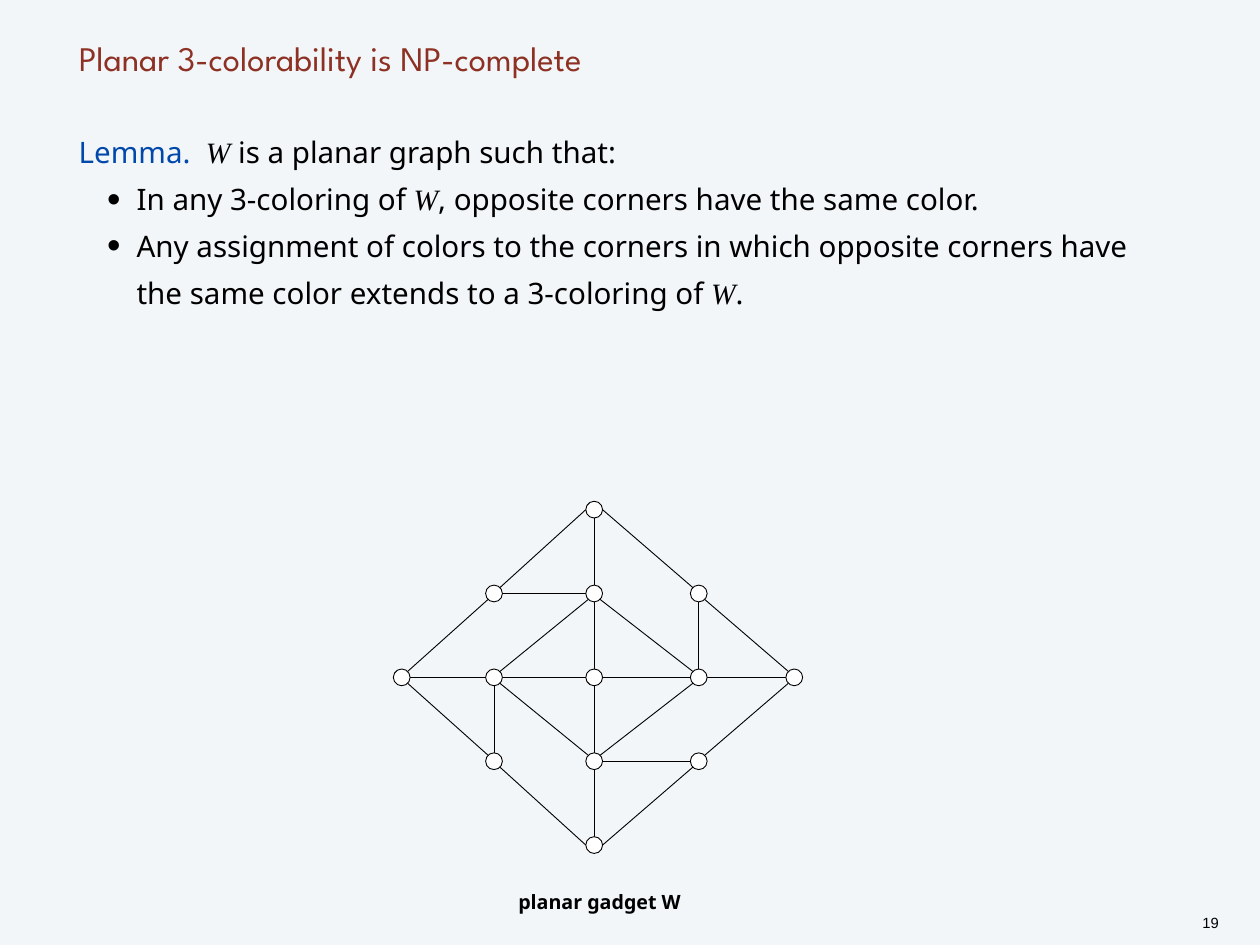
from math import sqrt

from lxml.etree import SubElement
from pptx import Presentation
from pptx.dml.color import RGBColor
from pptx.enum.shapes import MSO_CONNECTOR, MSO_SHAPE
from pptx.enum.text import MSO_ANCHOR, PP_ALIGN
from pptx.oxml.ns import qn
from pptx.util import Pt

COLORS = {
    "background": "F2F6F9",
    "title": "8D3124",
    "lemma": "0048AA",
    "ink": "000000",
    "node": "FFFFFF",
}
SANS = "Noto Sans"
DIAMETER = 13.6
COLUMN_CENTERS = [6.8, 81.8, 163.2, 248.2, 325.8]
LAST = 4

# Nodes are (column, row); turning the graph by 180 degrees gives the other half.
HALF_EDGES = [
    ((0, 2), (1, 2)), ((1, 2), (2, 2)), ((1, 1), (2, 1)),
    ((2, 0), (2, 1)), ((2, 1), (2, 2)), ((1, 2), (1, 3)),
    ((1, 1), (2, 0)), ((0, 2), (1, 1)), ((0, 2), (1, 3)), ((1, 3), (2, 4)),
    ((1, 2), (2, 1)), ((1, 2), (2, 3)),
]


def color(name):
    return RGBColor.from_string(COLORS[name])


def add_text_frame(slide, box, margin=0, wrap=True):
    left, top, width, height = box
    frame = slide.shapes.add_textbox(Pt(left), Pt(top), Pt(width), Pt(height)).text_frame
    frame.word_wrap = wrap
    frame.margin_left = frame.margin_right = Pt(margin)
    frame.margin_top = frame.margin_bottom = Pt(margin)
    return frame


def add_span(para, text, size, font=SANS, fill="ink", bold=False, italic=False):
    span = para.add_run()
    span.text = text
    span.font.size = Pt(size)
    span.font.name = font
    span.font.bold = bold
    span.font.italic = italic
    span.font.color.rgb = color(fill)


def add_bullet(para):
    para.level = 1
    properties = para._p.get_or_add_pPr()
    properties.set("marL", str(Pt(47)))
    properties.set("indent", str(Pt(-24)))
    SubElement(properties, qn("a:buSzPct"), val="130000")
    SubElement(properties, qn("a:buFont"), typeface="Arial")
    SubElement(properties, qn("a:buChar"), char="•")


def add_title(slide, box):
    frame = add_text_frame(slide, box)
    frame.vertical_anchor = MSO_ANCHOR.BOTTOM
    para = frame.paragraphs[0]
    para.line_spacing = Pt(38)
    add_span(para, "Planar 3-colorability is NP-complete", 28, "League Spartan", "title")


def add_lemma(slide, box):
    frame = add_text_frame(slide, box)
    para = frame.paragraphs[0]
    para.line_spacing = Pt(38)
    add_span(para, "Lemma.  ", 24, fill="lemma")
    add_span(para, "W", 24, "Times New Roman", italic=True)
    add_span(para, " is a planar graph such that:", 24)
    properties_of_w = [
        ("In any 3-coloring of ", ", opposite corners have the same color."),
        ("Any assignment of colors to the corners in which opposite corners have "
         "the same color extends to a 3-coloring of ", "."),
    ]
    for before, after in properties_of_w:
        para = frame.add_paragraph()
        add_bullet(para)
        para.line_spacing = Pt(38)
        add_span(para, before, 24)
        add_span(para, "W", 24, "Times New Roman", italic=True)
        add_span(para, after, 24)


def rim_offset(node, other):
    """Offset from a node's center to the rim point where its edge to other ends."""
    across = (other[0] > node[0]) - (other[0] < node[0])
    down = (other[1] > node[1]) - (other[1] < node[1])
    if across and node[1] in (0, LAST):
        down = 0
    reach = DIAMETER / 2 / sqrt(abs(across) + abs(down))
    return across * reach, down * reach


def add_gadget(slide, box):
    left, top, _, height = box
    row_gap = (height - DIAMETER) / LAST
    group = slide.shapes.add_group_shape()

    def center(node):
        return left + COLUMN_CENTERS[node[0]], top + DIAMETER / 2 + node[1] * row_gap

    def rim(node, other):
        return [Pt(middle + offset)
                for middle, offset in zip(center(node), rim_offset(node, other))]

    def turned(node):
        return LAST - node[0], LAST - node[1]

    edges = HALF_EDGES + [(turned(start), turned(end)) for start, end in HALF_EDGES]
    for start, end in edges:
        edge = group.shapes.add_connector(
            MSO_CONNECTOR.STRAIGHT, *rim(start, end), *rim(end, start))
        edge.line.color.rgb = color("ink")
        edge.line.width = Pt(0.75)
        SubElement(edge._element.spPr, qn("a:effectLst"))

    for node in sorted({node for edge in edges for node in edge}):
        x, y = center(node)
        circle = group.shapes.add_shape(
            MSO_SHAPE.OVAL, Pt(x - DIAMETER / 2), Pt(y - DIAMETER / 2),
            Pt(DIAMETER), Pt(DIAMETER))
        circle.shadow.inherit = False
        circle.fill.solid()
        circle.fill.fore_color.rgb = color("node")
        circle.line.color.rgb = color("ink")
        circle.line.width = Pt(0.75)


def add_caption(slide, box):
    para = add_text_frame(slide, box).paragraphs[0]
    para.alignment = PP_ALIGN.CENTER
    add_span(para, "planar gadget W", 16, bold=True)


def add_page_number(slide, box):
    para = add_text_frame(slide, box, margin=3, wrap=False).paragraphs[0]
    para.alignment = PP_ALIGN.CENTER
    para.line_spacing = Pt(14)
    add_span(para, "19", 12, "Arial")


def main():
    deck = Presentation()
    deck.slide_width, deck.slide_height = Pt(1024), Pt(768)
    page = deck.slides.add_slide(deck.slide_layouts[6])
    page.background.fill.solid()
    page.background.fill.fore_color.rgb = color("background")
    add_title(page, (64, 0, 896, 64))
    add_lemma(page, (64, 100, 880, 160))
    add_gadget(page, (319.7, 407.4, 332.6, 286.2))
    add_caption(page, (400, 723, 174.5, 22))
    add_page_number(page, (972.7, 740.3, 22.3, 17.3))
    deck.save("out.pptx")


if __name__ == "__main__":
    main()
